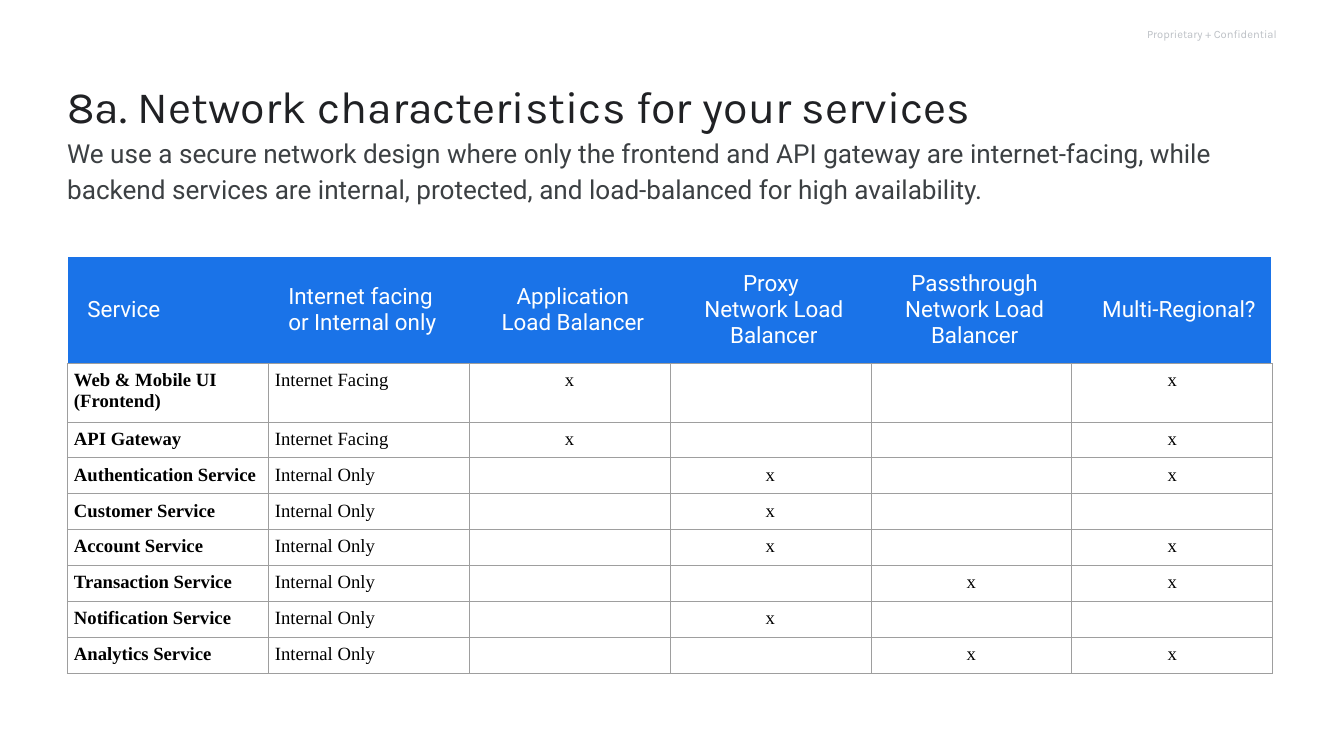
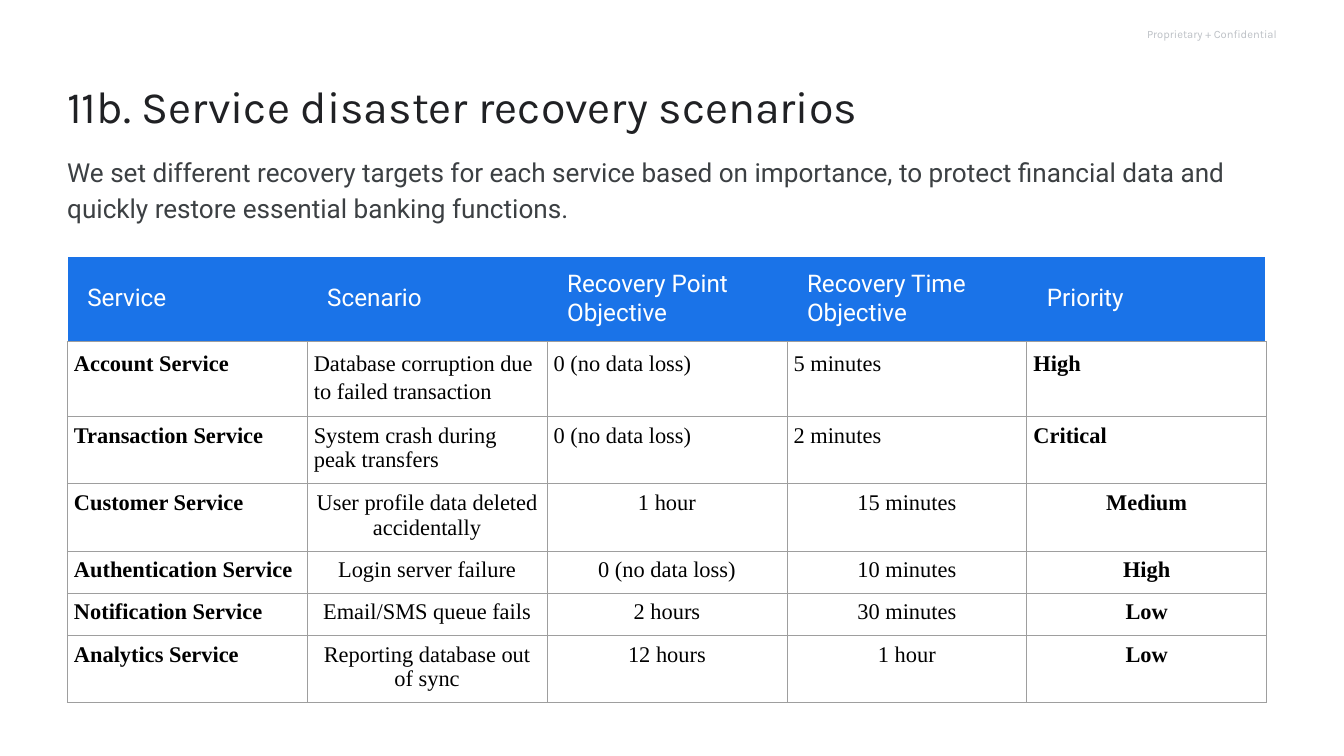
from dataclasses import dataclass
from lxml import etree
from pptx import Presentation
from pptx.dml.color import RGBColor
from pptx.enum import text as t
from pptx.oxml import ns
from pptx.util import Inches, Pt


@dataclass(frozen=True)
class Theme:
    title_color: str = "202124"
    body_color: str = "3C4043"
    label_color: str = "BDC1C6"
    header_fill: str = "1A73E8"
    white: str = "FFFFFF"
    black: str = "000000"
    grid: str = "9E9E9E"
    title_font: str = "Karla"
    body_font: str = "Roboto"
    cell_font: str = "Times New Roman"
    title_size: int = 48
    body_size: int = 28
    label_size: int = 12
    grid_width: float = 0.75
    edge_width: float = 3


theme = Theme()
LEFT, CENTER, RIGHT = t.PP_ALIGN.LEFT, t.PP_ALIGN.CENTER, t.PP_ALIGN.RIGHT


def write(frame, words, font, size, color, align=LEFT, spacing=None, bold=False):
    frame.text = words
    frame.word_wrap = True
    for para in frame.paragraphs:
        para.alignment = align
        if spacing:
            para.line_spacing = spacing
        for span in para.runs:
            span.font.name, span.font.size, span.font.bold = font, Pt(size), bold
            span.font.color.rgb = RGBColor.from_string(color)


def set_borders(cell, borders):
    """Draw the left, right, top and bottom edges; None leaves an edge undrawn."""
    properties = cell._tc.get_or_add_tcPr()
    for index, (side, border) in enumerate(zip("LRTB", borders)):
        line = etree.Element(ns.qn(f"a:ln{side}"))
        properties.insert(index, line)
        if border is None:
            etree.SubElement(line, ns.qn("a:noFill"))
            continue
        color, width = border
        line.set("w", str(Pt(width)))
        fill = etree.SubElement(line, ns.qn("a:solidFill"))
        etree.SubElement(fill, ns.qn("a:srgbClr")).set("val", color)


# Slide content: (text, left, top, width, height) boxes and one table each
slides = [
    {
        "title": ("8a. Network characteristics for your services", 1, 1.01, 18, 1.17),
        "body": (
            "We use a secure network design where only the frontend and API gateway are "
            "internet-facing, while backend services are internal, protected, and "
            "load-balanced for high availability.", 1, 1.97, 18, 1.17),
        "column_width": 2.99, "header_height": 0.85, "row_height": 0.53,
        "header_size": 24, "cell_size": 20,
        "left_headers": 2, "last_inset": 0.1, "bold_columns": (0,),
        "left_columns": (0, 1), "left_rows": (), "loose_rows": (),
        "rows": [
            ("Service", "Internet facing or Internal only", "Application Load Balancer",
             "Proxy \nNetwork Load Balancer", "Passthrough Network Load Balancer",
             "Multi-Regional?"),
            ("Web & Mobile UI (Frontend)", "Internet Facing", "x", "", "", "x"),
            ("API Gateway", "Internet Facing", "x", "", "", "x"),
            ("Authentication Service", "Internal Only", "", "x", "", "x"),
            ("Customer Service", "Internal Only", "", "x", "", ""),
            ("Account Service", "Internal Only", "", "x", "", "x"),
            ("Transaction Service", "Internal Only", "", "", "x", "x"),
            ("Notification Service", "Internal Only", "", "x", "", ""),
            ("Analytics Service", "Internal Only", "", "", "x", "x"),
        ],
    },
    {
        "title": ("11b. Service disaster recovery scenarios", 1, 1.01, 17.85, 0.8),
        "body": (
            "We set different recovery targets for each service based on importance, to "
            "protect financial data and quickly restore essential banking functions.",
            1, 2.25, 18.25, 1.08),
        "column_width": 3.57, "header_height": 1.01, "row_height": 0.63,
        "header_size": 26, "cell_size": 24,
        "left_headers": 5, "last_inset": 0.2, "bold_columns": (0, 4),
        "left_columns": (0,), "left_rows": (1, 2), "loose_rows": (1,),
        "rows": [
            ("Service", "Scenario", "Recovery Point Objective",
             "Recovery Time Objective", "Priority"),
            ("Account Service", "Database corruption due to failed transaction",
             "0 (no data loss)", "5 minutes", "High"),
            ("Transaction Service", "System crash during peak transfers",
             "0 (no data loss)", "2 minutes", "Critical"),
            ("Customer Service", "User profile data deleted accidentally",
             "1 hour", "15 minutes", "Medium"),
            ("Authentication Service", "Login server failure",
             "0 (no data loss)", "10 minutes", "High"),
            ("Notification Service", "Email/SMS queue fails",
             "2 hours", "30 minutes", "Low"),
            ("Analytics Service", "Reporting database out of sync",
             "12 hours", "1 hour", "Low"),
        ],
    },
]

deck = Presentation()
deck.slide_width, deck.slide_height = Inches(20), Inches(11.25)
grid = (theme.grid, theme.grid_width)
edge = (theme.white, theme.edge_width)

for content in slides:
    page = deck.slides.add_slide(deck.slide_layouts[6])

    # Confidentiality label, title and introduction
    label = ("Proprietary + Confidential", 14.79, 0, 4.21, 1.01)
    boxes = [
        (label, theme.title_font, theme.label_size, theme.label_color,
         RIGHT, None, t.MSO_ANCHOR.MIDDLE, 0),
        (content["title"], theme.title_font, theme.title_size, theme.title_color,
         LEFT, 1.2, t.MSO_ANCHOR.TOP, 0.2),
        (content["body"], theme.body_font, theme.body_size, theme.body_color,
         LEFT, 1.15, t.MSO_ANCHOR.TOP, 0),
    ]
    for (words, *place), font, size, color, align, spacing, anchor, inset in boxes:
        box = page.shapes.add_textbox(*map(Inches, place))
        frame = box.text_frame
        frame.margin_left = frame.margin_top = frame.margin_bottom = 0
        frame.margin_right = Inches(inset)
        frame.vertical_anchor = anchor
        write(frame, words, font, size, color, align, spacing)

    # Table with equal columns and equal body rows
    rows = content["rows"]
    last = len(rows[0]) - 1
    width = content["column_width"] * len(rows[0])
    height = content["header_height"] + content["row_height"] * (len(rows) - 1)
    table = page.shapes.add_table(len(rows), len(rows[0]), Inches(1), Inches(3.81),
                                  Inches(width), Inches(height)).table
    table.first_row = table.horz_banding = False
    for column in table.columns:
        column.width = Inches(content["column_width"])

    for r, row in enumerate(rows):
        table.rows[r].height = Inches(content["row_height"] if r else content["header_height"])
        for c, words in enumerate(row):
            cell = table.cell(r, c)
            if r == 0:
                insets = (0.3, content["last_inset"] if c == last else 0.2, 0.2, 0.2)
                align = LEFT if c < content["left_headers"] else CENTER
                cell.vertical_anchor = t.MSO_ANCHOR.MIDDLE
                cell.fill.solid()
                cell.fill.fore_color.rgb = RGBColor.from_string(theme.header_fill)
                borders = (None if c else edge, edge if c == last else None, edge, grid)
                write(cell.text_frame, words, theme.body_font, content["header_size"],
                      theme.white, align)
            else:
                insets = (0.1,) * 4
                left = c in content["left_columns"] or r in content["left_rows"]
                cell.fill.background()
                borders = (grid,) * 4
                write(cell.text_frame, words, theme.cell_font, content["cell_size"],
                      theme.black, LEFT if left else CENTER,
                      1.15 if r in content["loose_rows"] else None,
                      c in content["bold_columns"])
            (cell.margin_left, cell.margin_right,
             cell.margin_top, cell.margin_bottom) = map(Inches, insets)
            set_borders(cell, borders)

deck.save("out.pptx")
